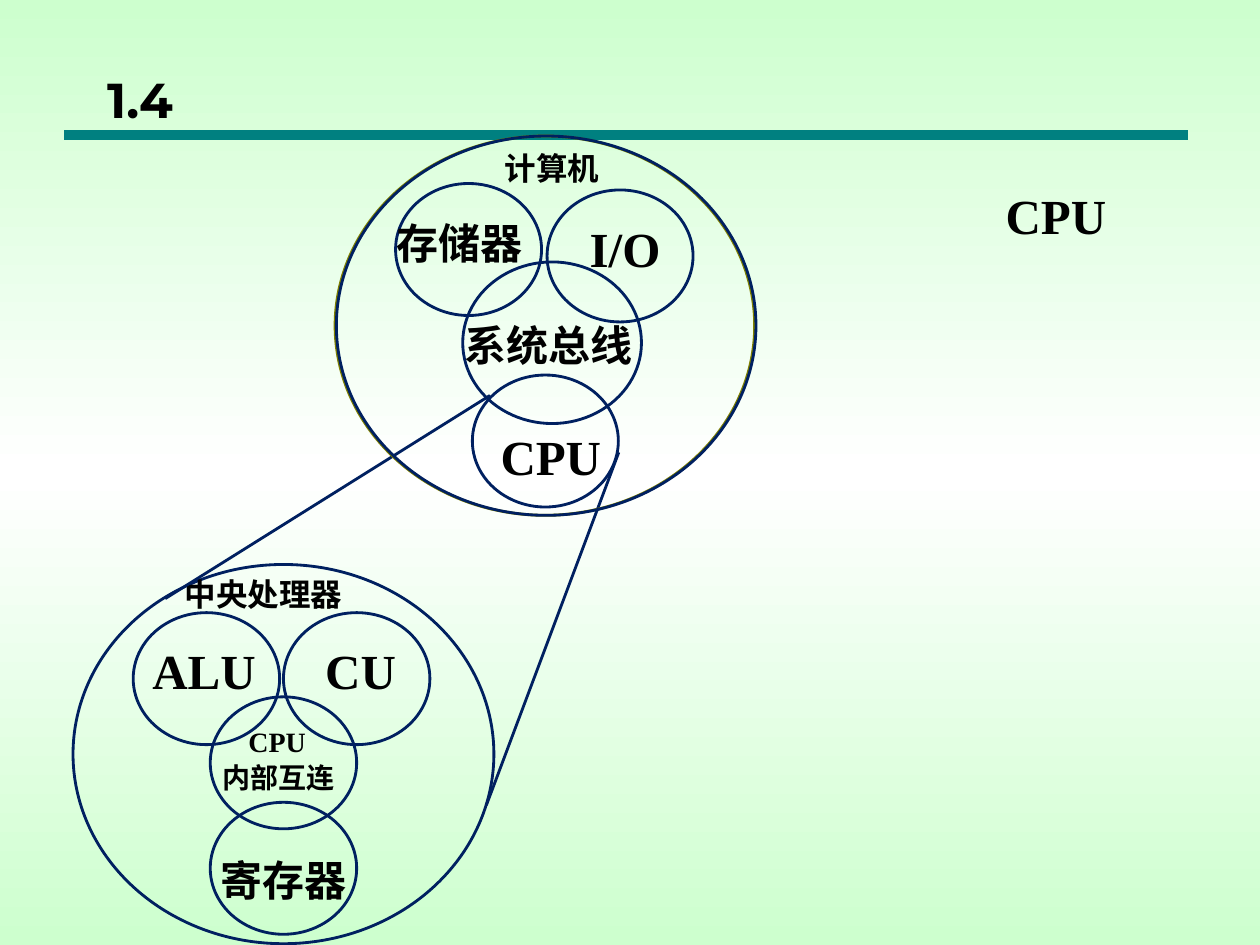
from copy import deepcopy
from dataclasses import dataclass

from lxml import etree
from pptx import Presentation
from pptx import util as u
from pptx.dml.color import RGBColor
from pptx.enum import shapes, text
from pptx.oxml.ns import qn


@dataclass(frozen=True)
class Theme:
    ink: str = "000000"
    outline: str = "002060"
    backing: str = "808000"
    rule: str = "008080"
    stops: tuple = ((0, "CDFFCE"), (0.5, "FFFFFF"), (1, "CDFFCE"))
    title_font: str = "Montserrat"
    latin: str = "Times New Roman"
    cjk: str = "Noto Sans CJK SC"
    large: int = 28
    medium: int = 24
    caption: int = 18
    small: int = 16
    thin: float = 1.62
    thick: int = 6


T = Theme()
W, H = 10, 7.5
COMPUTER = (2.67, 1.08, 3.33, 3.01)
PROCESSOR = (0.58, 4.48, 3.34, 3.01)
SMALL = 34.8  # circle diameter, percent of the enclosing ellipse

# Circles: centre x, centre y, diameter; labels: words, centre x, centre y, size
COMPUTER_CIRCLES = [(31.5, 29.9, SMALL), (67.6, 31.6, SMALL),
                    (51.4, 54.5, 42.6), (49.8, 80.4, SMALL)]
COMPUTER_LABELS = [("计算机", 51.4, 8.3, T.caption),
                   ("存储器", 29.4, 28.2, T.medium),
                   ("I/O", 68.8, 29.4, T.large),
                   ("系统总线", 50.5, 55.1, T.medium),
                   ("CPU", 51.1, 84.4, T.large)]
PROCESSOR_CIRCLES = [(31.7, 30.1, SMALL), (67.4, 30.1, SMALL),
                     (50, 52.3, SMALL), (50, 80.1, SMALL)]
PROCESSOR_LABELS = [("中央处理器", 45.2, 7.8, T.caption),
                    ("ALU", 31.1, 27.9, T.large),
                    ("CU", 68.3, 27.9, T.large),
                    ("CPU", 48.5, 46.5, T.small),
                    ("内部互连", 48.8, 56.1, T.small),
                    ("寄存器", 50, 83.1, T.medium)]


def inches(*values):
    return [u.Inches(v) for v in values]


def set_attrs(obj, values):
    for name, value in values.items():
        setattr(obj, name, value)


def write(sp, words, font, size, frame, align):
    tf = sp.text_frame
    set_attrs(tf, frame)
    p = tf.paragraphs[0]
    p.alignment = align
    r = p.add_run()
    r.text = words
    set_attrs(r.font, {"name": font, "size": u.Pt(size), "bold": True})
    r.font.color.rgb = RGBColor.from_string(T.ink)
    etree.SubElement(r.font._element, qn("a:ea"), typeface=font)


def add_label(s, box, words, x, y, size):
    left, top, width, height = box
    w, h = len(words) * size / 72, size * 1.2 / 72
    sp = s.shapes.add_textbox(*inches(left + width * x / 100 - w / 2,
                                      top + height * y / 100 - h / 2, w, h))
    frame = {"word_wrap": False, "vertical_anchor": text.MSO_ANCHOR.MIDDLE}
    frame.update({f"margin_{side}": 0 for side in ("left", "top", "right", "bottom")})
    write(sp, words, T.latin if words.isascii() else T.cjk, size, frame,
          text.PP_ALIGN.CENTER)


def add_ellipse(s, box, color=T.outline):
    sp = s.shapes.add_shape(shapes.MSO_SHAPE.OVAL, *inches(*box))
    sp.shadow.inherit = False
    sp.fill.background()
    sp.line.color.rgb = RGBColor.from_string(color)
    sp.line.width = u.Pt(T.thin)


def add_line(s, start, end, color=T.outline, width=T.thin):
    line = s.shapes.add_connector(shapes.MSO_CONNECTOR.STRAIGHT,
                                  *inches(*start, *end))
    line.line.color.rgb = RGBColor.from_string(color)
    line.line.width = u.Pt(width)
    etree.SubElement(line._element.spPr, qn("a:effectLst"))


def paint_background(s):
    fill = s.background.fill
    fill.gradient()
    fill.gradient_angle = 270
    stops = s.element.find(".//" + qn("a:gsLst"))
    stops.insert(1, deepcopy(stops[0]))
    for stop, (position, color) in zip(fill.gradient_stops, T.stops):
        stop.position = position
        stop.color.rgb = RGBColor.from_string(color)


def add_header(s, box):
    left, top, width, height = box
    bottom = top + height
    add_line(s, (W * 0.051, bottom), (W * 0.943, bottom), T.rule, T.thick)
    title = s.shapes.title
    set_attrs(title, dict(zip(("left", "top", "width", "height"), inches(*box))))
    write(title, "1.4", T.title_font, T.large,
          {"vertical_anchor": text.MSO_ANCHOR.BOTTOM}, text.PP_ALIGN.LEFT)


def add_system(s, box, circles, labels):
    left, top, width, height = box
    add_ellipse(s, box)
    for x, y, d in circles:
        add_ellipse(s, (left + width * (x - d / 2) / 100,
                        top + height * (y - d / 2) / 100,
                        width * d / 100, height * d / 100))
    for label in labels:
        add_label(s, box, *label)


def add_zoom_lines(s, source, target):
    def point(box, x, y):
        return box[0] + box[2] * x / 100, box[1] + box[3] * y / 100

    add_line(s, point(source, 36.6, 68.4), point(target, 21.9, 9))
    add_line(s, point(source, 67.3, 83.4), point(target, 98.2, 63.5))


def main():
    prs = Presentation()
    prs.slide_width, prs.slide_height = inches(W, H)
    s = prs.slides.add_slide(prs.slide_layouts[5])
    paint_background(s)
    add_header(s, (0.75, -0.18, 8.5, 1.25))

    # Processor, enlarged from the computer above it
    add_system(s, PROCESSOR, PROCESSOR_CIRCLES, PROCESSOR_LABELS)
    add_zoom_lines(s, COMPUTER, PROCESSOR)

    # Heading on the right
    add_label(s, (0, 0, W, H), "CPU", 83.8, 22.7, T.large)

    # Computer, with a coloured edge just behind its outline
    add_ellipse(s, (COMPUTER[0] - 0.01, *COMPUTER[1:]), T.backing)
    add_system(s, COMPUTER, COMPUTER_CIRCLES, COMPUTER_LABELS)
    prs.save("out.pptx")


if __name__ == "__main__":
    main()
